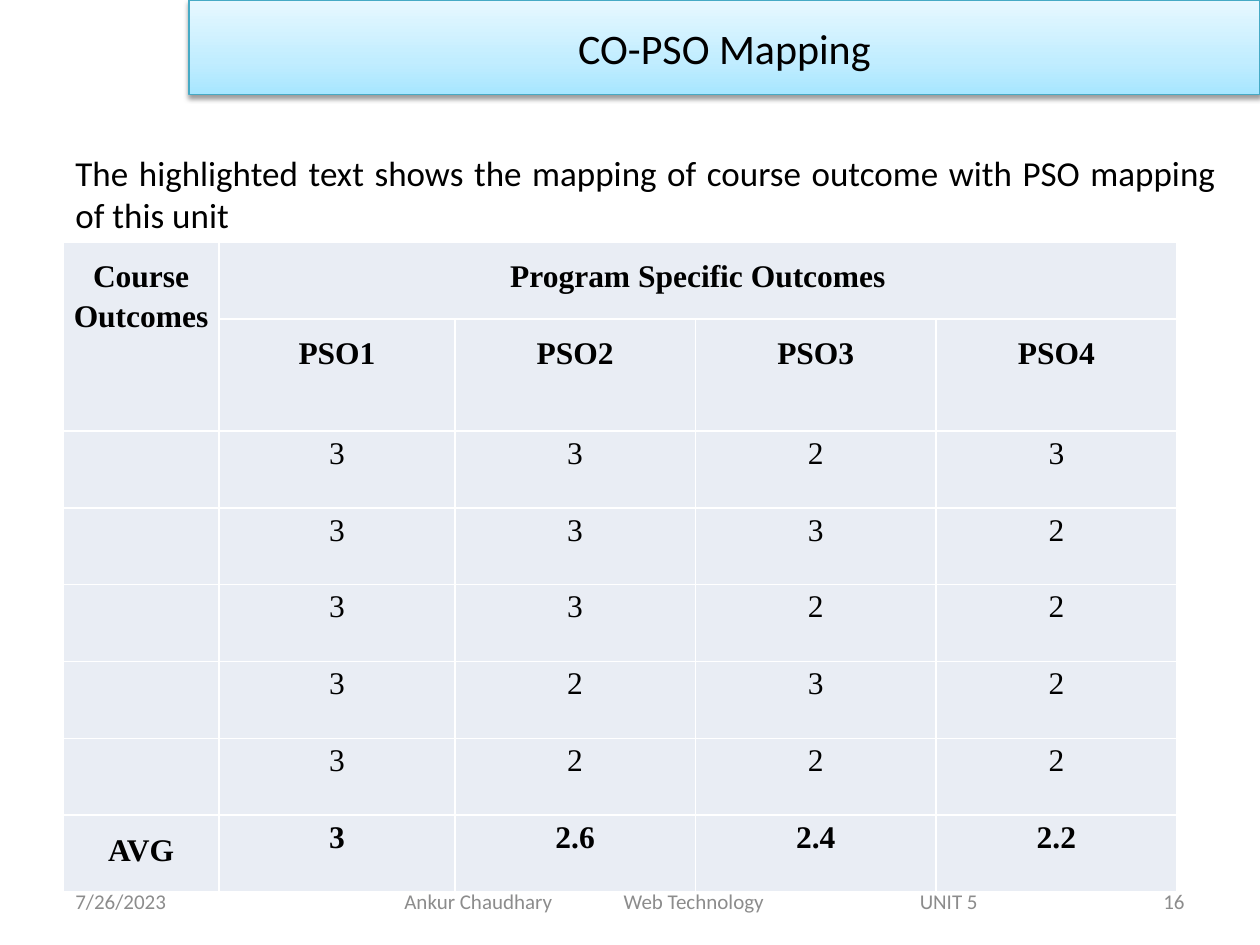
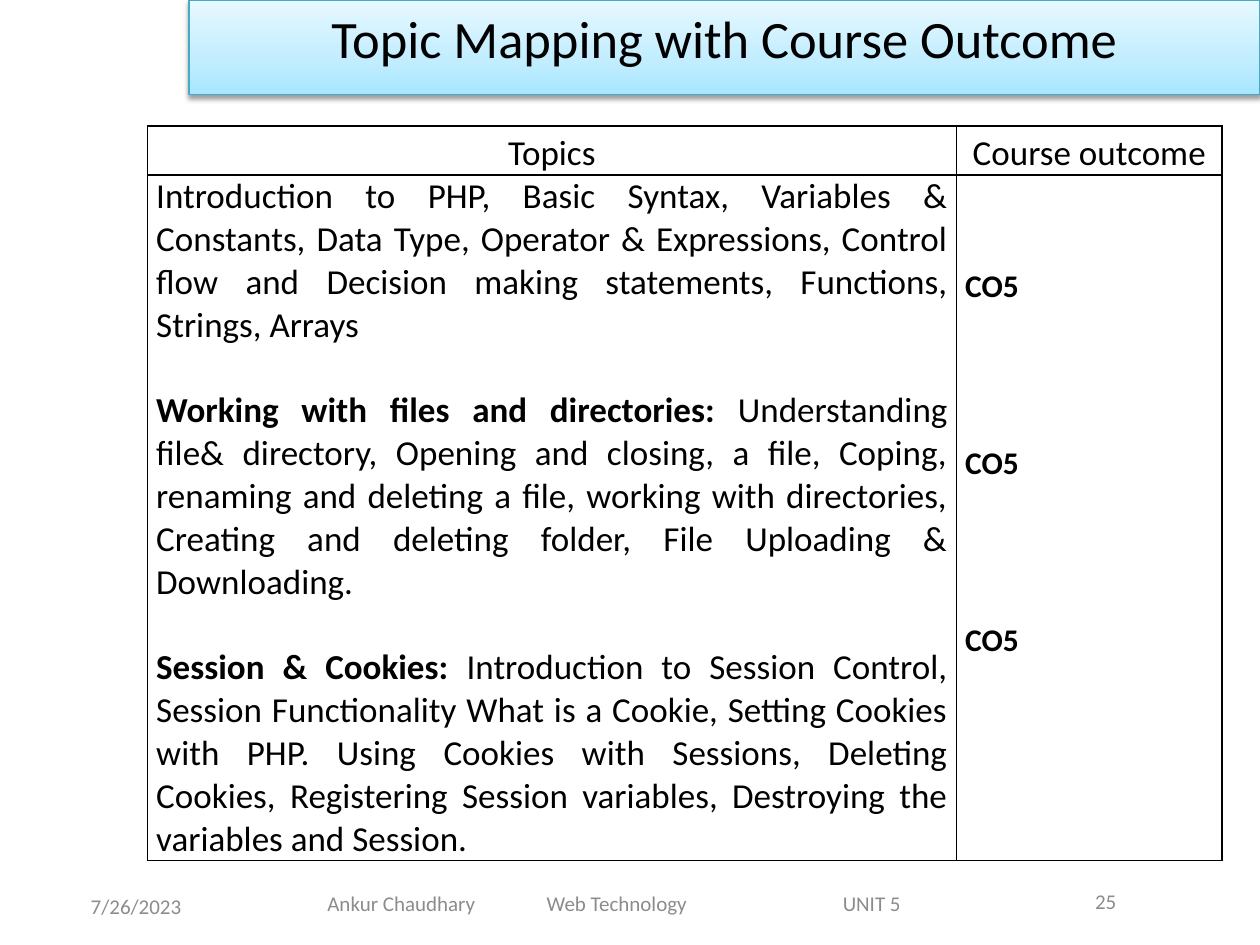
from copy import deepcopy
from lxml import etree
from pptx import Presentation
from pptx import util as u
from pptx.dml import color as dml
from pptx.enum import text
from pptx.oxml import ns

SCALE = 9144
COLORS = {
    "ink": "000000", "footer": "8C8C8C", "cell": "E9EDF4", "white": "FFFFFF",
    "band_line": "46AAC5", "band_low": "A7E6FF", "band_mid": "C1EDFF", "band_high": "E7F8FF",
}
SANS, SERIF = "Calibri", "Times New Roman"
ALIGN, ANCHOR = text.PP_ALIGN, text.MSO_ANCHOR
FOOTER_PARTS = ("Ankur Chaudhary", "Web Technology", "UNIT 5")
FOOTER_TABS = (174, 409)


def px(length):
    return u.Emu(length * SCALE)


def rgb(name):
    return dml.RGBColor.from_string(COLORS[name])


def add_node(parent, tag, **attributes):
    node = etree.SubElement(parent, ns.qn(tag))
    for key, value in attributes.items():
        node.set(key, str(value))
    return node


class Deck:
    def __init__(self):
        self.presentation = Presentation()
        self.presentation.slide_width, self.presentation.slide_height = px(1000), px(750)
        self.slide = None

    def start_slide(self):
        self.slide = self.presentation.slides.add_slide(self.presentation.slide_layouts[5])

    def style(self, paragraph, size, color="ink", font=SANS, bold=False, align=ALIGN.LEFT, spacing=None):
        paragraph.alignment = align
        if spacing:
            paragraph.line_spacing = spacing
        for run in paragraph.runs:
            run.font.size, run.font.name, run.font.bold = u.Pt(size), font, bold
            run.font.color.rgb = rgb(color)

    def title(self, wording, size, anchor):
        shape = self.slide.shapes.title
        shape.left, shape.top, shape.width, shape.height = px(150), px(0), px(850), px(75)
        shape.fill.gradient()
        shape.fill.gradient_angle = 90
        stops = shape.element.spPr.find(".//" + ns.qn("a:gsLst"))
        stops.insert(1, deepcopy(stops[0]))
        band = (("band_low", 0), ("band_mid", 0.35), ("band_high", 1))
        for stop, (color, position) in zip(shape.fill.gradient_stops, band):
            stop.color.rgb, stop.position = rgb(color), position
        shape.line.color.rgb, shape.line.width = rgb("band_line"), u.Pt(0.75)
        shape.shadow.inherit = False
        effects = shape.element.spPr.find(ns.qn("a:effectLst"))
        shadow = add_node(effects, "a:outerShdw", blurRad=u.Pt(3.1), dist=u.Pt(1.6), dir=5400000, rotWithShape=0)
        add_node(add_node(shadow, "a:srgbClr", val=COLORS["ink"]), "a:alpha", val=38000)
        frame = shape.text_frame
        frame.text = wording
        frame.auto_size, frame.vertical_anchor = text.MSO_AUTO_SIZE.NONE, anchor
        self.style(frame.paragraphs[0], size, align=ALIGN.CENTER)

    def text_box(self, box, wording, size, color="ink", align=ALIGN.LEFT, anchor=ANCHOR.TOP, inset=10, tabs=()):
        frame = self.slide.shapes.add_textbox(*map(px, box)).text_frame
        frame.word_wrap, frame.vertical_anchor, frame.margin_left = True, anchor, px(inset)
        frame.text = wording
        paragraph = frame.paragraphs[0]
        if tabs:
            tab_list = add_node(paragraph._p.get_or_add_pPr(), "a:tabLst")
            for tab in tabs:
                add_node(tab_list, "a:tab", pos=px(tab), algn="l")
        self.style(paragraph, size, color, align=align)

    def footer(self, date, date_box, date_align, number, number_box, number_align, credit_box, credit_inset):
        look = {"size": 12, "color": "footer", "anchor": ANCHOR.MIDDLE}
        self.text_box(date_box, date, align=date_align, **look)
        self.text_box(number_box, number, align=number_align, **look)
        self.text_box(credit_box, "\t".join(FOOTER_PARTS), inset=credit_inset, tabs=FOOTER_TABS, **look)

    def table(self, left, top, columns, rows, border, fill=None):
        frame = self.slide.shapes.add_table(
            len(rows), len(columns), px(left), px(top), px(sum(columns)), px(sum(rows)))
        table = frame.table
        table.first_row = table.horz_banding = False
        for column, width in zip(table.columns, columns):
            column.width = px(width)
        for row, height in zip(table.rows, rows):
            row.height = px(height)
        for cell in table.iter_cells():
            properties = cell._tc.get_or_add_tcPr()
            for side in ("a:lnL", "a:lnR", "a:lnT", "a:lnB"):
                line = add_node(properties, side, w=u.Pt(1))
                add_node(add_node(line, "a:solidFill"), "a:srgbClr", val=COLORS[border])
            if fill:
                cell.fill.solid()
                cell.fill.fore_color.rgb = rgb(fill)
            else:
                cell.fill.background()
        return table

    def cell(self, cell, wording, size, top=0, bottom=0, anchor=ANCHOR.TOP, gap=0, **look):
        cell.margin_left = cell.margin_right = px(7)
        cell.margin_top, cell.margin_bottom = px(top), px(bottom)
        cell.vertical_anchor = anchor
        cell.text_frame.text = wording
        for index, paragraph in enumerate(cell.text_frame.paragraphs):
            if index and gap:
                paragraph.space_before = u.Pt(gap)
            self.style(paragraph, size, **look)


def pso_mapping(deck):
    deck.start_slide()
    deck.title("CO-PSO Mapping", 24, ANCHOR.MIDDLE)
    deck.footer("7/26/2023", (50, 695, 233, 40), ALIGN.LEFT,
                "16", (717, 695, 233, 40), ALIGN.RIGHT, (275, 695, 550, 40), 46)
    deck.text_box((50, 115, 925, 77),
                  "The highlighted text shows the mapping of course outcome with PSO mapping of this unit",
                  20, align=ALIGN.JUSTIFY)
    scores = ("3323", "3332", "3322", "3232", "3222")
    averages = ("3", "2.6", "2.4", "2.2")
    table = deck.table(50, 192, [124, 187, 191, 191, 191], [61, 89] + [61] * 6, "white", "cell")
    table.cell(0, 0).merge(table.cell(1, 0))
    table.cell(0, 1).merge(table.cell(0, 4))
    look = {"size": 18, "font": SERIF, "align": ALIGN.CENTER, "spacing": 1.15}
    headings = {(0, 0): "Course Outcomes", (0, 1): "Program Specific Outcomes", (7, 0): "AVG"}
    headings.update({(1, column): f"PSO{column}" for column in range(1, 5)})
    for (row, column), wording in headings.items():
        deck.cell(table.cell(row, column), wording, top=10, bottom=10, bold=True, **look)
    for row, values in enumerate((*scores, averages), 2):
        for column, value in enumerate(values, 1):
            deck.cell(table.cell(row, column), value, bold=values is averages, **look)


def topic_mapping(deck):
    deck.start_slide()
    deck.title("Topic Mapping with Course Outcome", 30, ANCHOR.TOP)
    deck.footer("7/26/2023", (8, 699, 200, 40), ALIGN.CENTER,
                "25", (719, 695, 317, 40), ALIGN.CENTER, (250, 693, 648, 47), 10)
    topics = (
        ("", "Introduction to PHP, Basic Syntax, Variables & Constants, Data Type, Operator & Expressions, "
             "Control flow and Decision making statements, Functions, Strings, Arrays"),
        ("Working with files and directories: ",
         "Understanding file& directory, Opening and closing, a file, Coping, renaming and deleting a file, "
         "working with directories, Creating and deleting folder, File Uploading & Downloading."),
        ("Session & Cookies: ",
         "Introduction to Session Control, Session Functionality What is a Cookie, Setting Cookies with PHP. "
         "Using Cookies with Sessions, Deleting Cookies, Registering Session variables, "
         "Destroying the variables and Session."),
    )
    table = deck.table(117, 100, [642, 211], [39, 544], "ink")
    for column, heading in enumerate(("Topics", "Course outcome")):
        deck.cell(table.cell(0, column), heading, 20, anchor=ANCHOR.MIDDLE, align=ALIGN.CENTER, spacing=1.15)
    topic_cell = table.cell(1, 0)
    deck.cell(topic_cell, "\n".join(lead or body for lead, body in topics), 20,
              anchor=ANCHOR.MIDDLE, gap=24.4, align=ALIGN.JUSTIFY)
    for paragraph, (lead, body) in zip(topic_cell.text_frame.paragraphs, topics):
        if lead:
            paragraph.add_run().text = body
            deck.style(paragraph, 20, align=ALIGN.JUSTIFY)
            paragraph.runs[0].font.bold = True
    deck.cell(table.cell(1, 1), "\n".join(["CO5"] * len(topics)), 18, top=69, gap=75.8, bold=True, spacing=1.15)


def main():
    deck = Deck()
    pso_mapping(deck)
    topic_mapping(deck)
    deck.presentation.save("out.pptx")


if __name__ == "__main__":
    main()
